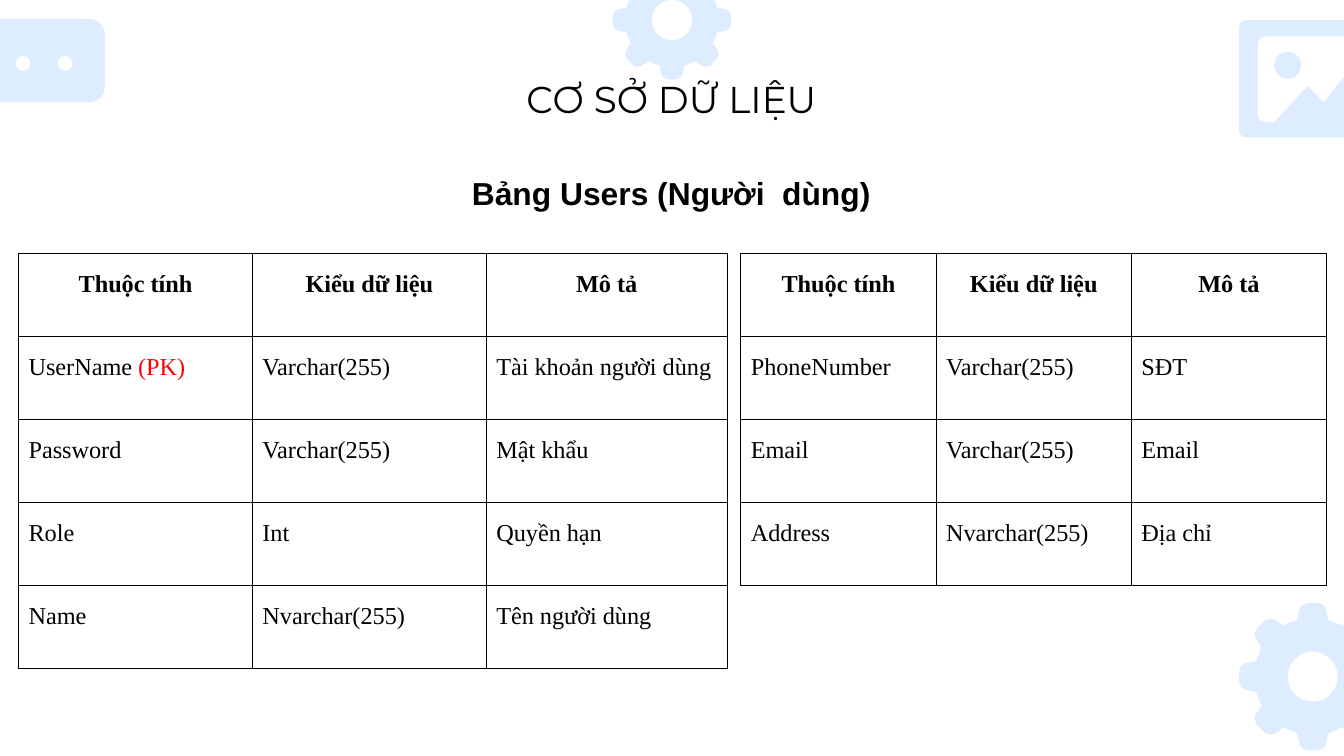
from math import cos, pi, sin

from lxml.etree import SubElement
from pptx import Presentation
from pptx.dml.color import RGBColor
from pptx.enum.shapes import MSO_SHAPE
from pptx.enum.text import MSO_ANCHOR, PP_ALIGN
from pptx.oxml.ns import qn
from pptx.util import Cm, Pt

COLORS = {"ink": "000000", "key": "FF0000", "pale": "DDECFF", "white": "FFFFFF"}
HEAD = ("Thuộc tính", "Kiểu dữ liệu", "Mô tả")
LEFT = [
    ("UserName |(PK)", "Varchar(255)", "Tài khoản người dùng"),
    ("Password", "Varchar(255)", "Mật khẩu"),
    ("Role", "Int", "Quyền hạn"),
    ("Name", "Nvarchar(255)", "Tên người dùng"),
]
RIGHT = [
    ("PhoneNumber", "Varchar(255)", "SĐT"),
    ("Email", "Varchar(255)", "Email"),
    ("Address", "Nvarchar(255)", "Địa chỉ"),
]
ROW = 1.57
# Right half of one gear tooth, as shares of the gear radius
TOOTH = [(0.07, 1), (0.15, 0.97), (0.18, 0.92), (0.21, 0.77)]


def color(name):
    return RGBColor.from_string(COLORS[name])


def write(frame, text, size=13, font="Times New Roman", bold=False,
          align=PP_ALIGN.LEFT, lead=None, before=0, after=0):
    """Fill a text frame; the part after a bar takes the key colour."""
    frame.word_wrap = True
    para = frame.paragraphs[0]
    para.alignment = align
    para.line_spacing = lead
    para.space_before, para.space_after = Pt(before), Pt(after)
    for part, tint in zip(text.split("|"), ("ink", "key")):
        run = para.add_run()
        run.text = part
        run.font.size, run.font.name, run.font.bold = Pt(size), font, bold
        run.font.color.rgb = color(tint)


def label(slide, box, text, anchor=MSO_ANCHOR.TOP, **form):
    frame = slide.shapes.add_textbox(*map(Cm, box)).text_frame
    frame.margin_left = frame.margin_right = Cm(0.25)
    frame.margin_top = frame.margin_bottom = Cm(0.25)
    frame.vertical_anchor = anchor
    write(frame, text, **form)


def paint(shape, tint):
    shape.shadow.inherit = False
    shape.fill.solid()
    shape.fill.fore_color.rgb = color(tint)
    shape.line.fill.background()


def panel(slide, box, tint, curve):
    shape = slide.shapes.add_shape(MSO_SHAPE.ROUNDED_RECTANGLE, *map(Cm, box))
    shape.adjustments[0] = curve
    paint(shape, tint)


def dot(slide, x, y, size, tint):
    paint(slide.shapes.add_shape(MSO_SHAPE.OVAL, Cm(x), Cm(y), Cm(size), Cm(size)), tint)


def outline(slide, rings, tint):
    """Draw closed rings of points as one shape."""
    rings = [[(Cm(x), Cm(y)) for x, y in ring] for ring in rings]
    build = slide.shapes.build_freeform(*rings[0][0])
    build.add_line_segments(rings[0][1:], close=True)
    for ring in rings[1:]:
        build.move_to(*ring[0])
        build.add_line_segments(ring[1:], close=True)
    paint(build.convert_to_shape(), tint)


def gear(slide, x, y, size):
    tooth = [(-a, b) for a, b in reversed(TOOTH)] + TOOTH
    rim = []
    for turn in (k * pi / 4 for k in range(8)):
        rim += [(x + size * (a * cos(turn) + b * sin(turn)),
                 y + size * (a * sin(turn) - b * cos(turn))) for a, b in tooth]
    hole = [(x + 0.34 * size * cos(k * pi / 30), y - 0.34 * size * sin(k * pi / 30))
            for k in range(60)]
    outline(slide, [rim, hole], "pale")


def border(cell):
    props = cell._tc.get_or_add_tcPr()
    for side in ("a:lnL", "a:lnR", "a:lnT", "a:lnB"):
        line = SubElement(props, qn(side), w=str(Pt(0.6)))
        fill = SubElement(line, qn("a:solidFill"))
        SubElement(fill, qn("a:srgbClr"), val=COLORS["ink"])


def grid(slide, x, y, widths, rows):
    rows = [HEAD] + rows
    table = slide.shapes.add_table(len(rows), len(widths), Cm(x), Cm(y),
                                   Cm(sum(widths)), Cm(ROW * len(rows))).table
    table.first_row = table.horz_banding = False
    for col, width in zip(table.columns, widths):
        col.width = Cm(width)
    for r, row in enumerate(rows):
        table.rows[r].height = Cm(ROW)
        for c, text in enumerate(row):
            cell = table.cell(r, c)
            border(cell)
            cell.fill.background()
            cell.margin_left = cell.margin_right = Cm(0.19)
            cell.margin_top = cell.margin_bottom = Cm(0.25)
            write(cell.text_frame, text, bold=r == 0, lead=1.15, before=12,
                  align=PP_ALIGN.LEFT if r else PP_ALIGN.CENTER)


def decor(slide):
    # Gears
    gear(slide, 24.81, 12.79, 1.39)
    gear(slide, 12.7, 0.38, 1.12)
    # Chat bubble
    panel(slide, (-1.12, 0.36, 3.1, 1.57), "pale", 0.18)
    for x in (0.3, 1.09):
        dot(slide, x, 1.06, 0.28, "white")
    # Photo frame with hills and sun
    panel(slide, (23.42, 0.38, 3.1, 2.22), "pale", 0.06)
    panel(slide, (23.77, 0.69, 2.41, 1.62), "white", 0.09)
    outline(slide, [[(25.65, 1.14), (25.02, 1.93), (25.4, 2.31),
                     (26.19, 2.31), (26.19, 1.85)]], "pale")
    outline(slide, [[(24.71, 1.63), (24.08, 2.31), (25.4, 2.31), (25.02, 1.93)]], "pale")
    dot(slide, 24.08, 0.98, 0.51, "pale")


def main():
    deck = Presentation()
    deck.slide_width, deck.slide_height = Cm(25.4), Cm(14.29)
    slide = deck.slides.add_slide(deck.slide_layouts[6])
    decor(slide)
    # Headings
    label(slide, (3.56, 1.19, 18.26, 1.5), "CƠ SỞ DỮ LIỆU",
          size=20, font="Montserrat", align=PP_ALIGN.CENTER)
    label(slide, (8.18, 2.95, 9.02, 1.27), "Bảng Users (Người  dùng)",
          anchor=MSO_ANCHOR.MIDDLE, size=17, font="Arial", bold=True,
          align=PP_ALIGN.CENTER, lead=1.15, before=18, after=4)
    # Tables
    grid(slide, 0.35, 4.79, (4.42, 4.42, 4.55), LEFT)
    grid(slide, 14, 4.79, (3.69,) * 3, RIGHT)
    deck.save("out.pptx")


if __name__ == "__main__":
    main()
